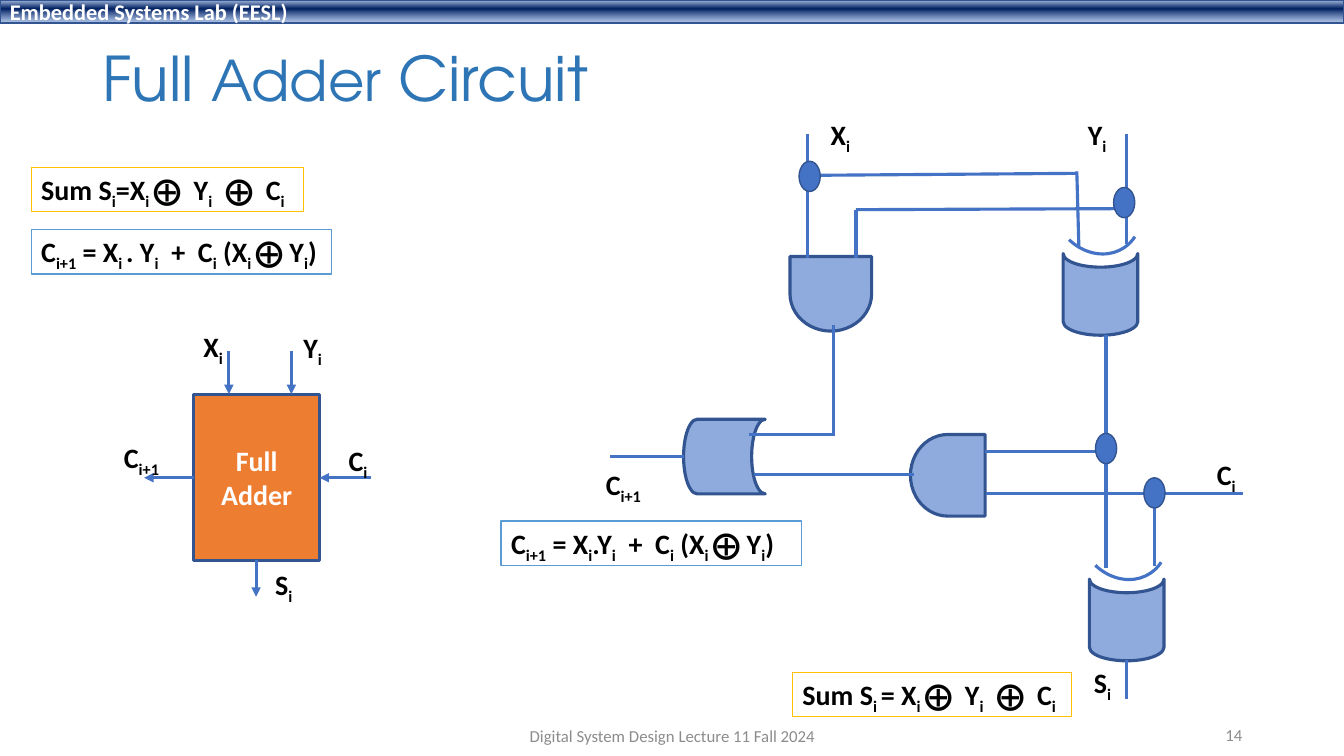
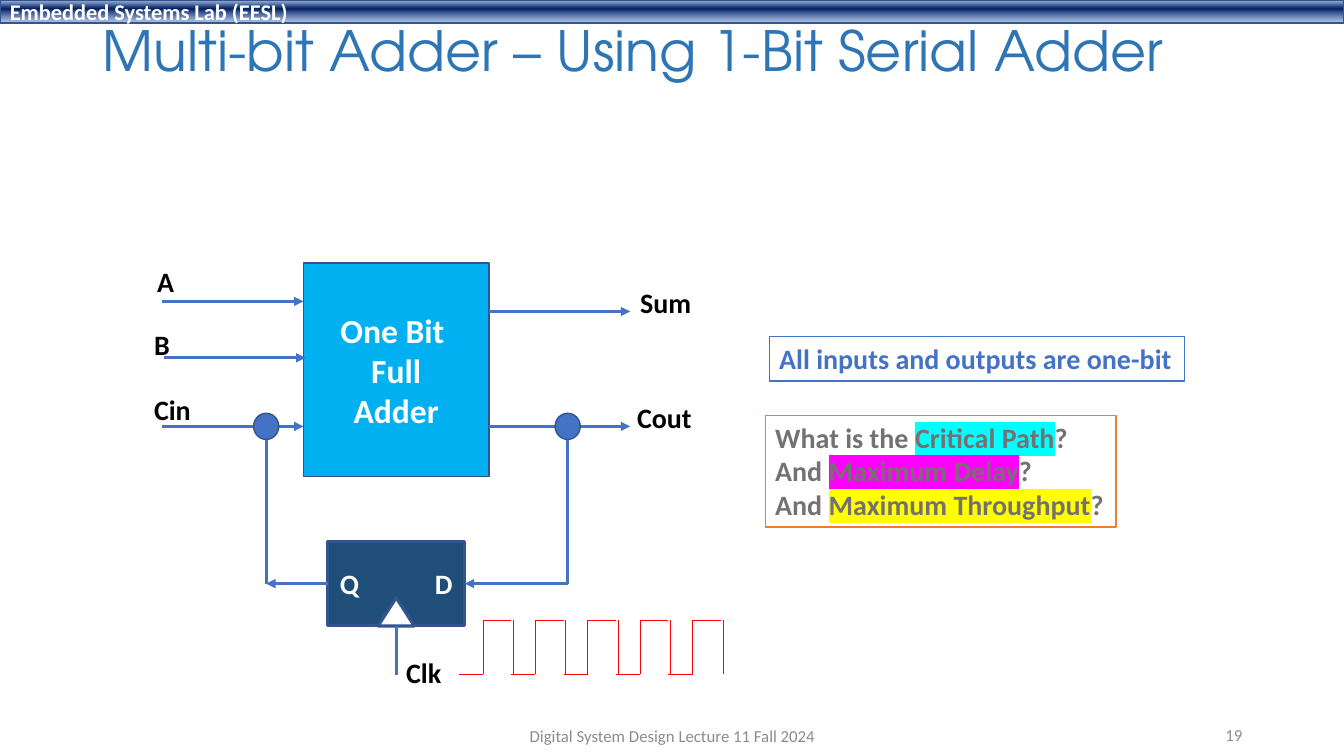
from dataclasses import dataclass

from lxml import etree
from pptx import Presentation
from pptx.dml.color import RGBColor
from pptx.enum.shapes import MSO_CONNECTOR, MSO_SHAPE
from pptx.enum.text import MSO_ANCHOR, MSO_AUTO_SIZE, PP_ALIGN
from pptx.oxml import parse_xml
from pptx.oxml.ns import nsdecls, qn
from pptx.util import Inches, Pt

RECT, OVAL, ARC = MSO_SHAPE.RECTANGLE, MSO_SHAPE.OVAL, MSO_SHAPE.ARC
TRIANGLE = MSO_SHAPE.ISOSCELES_TRIANGLE
AND_SHAPE, OR_SHAPE = MSO_SHAPE.FLOWCHART_DELAY, MSO_SHAPE.FLOWCHART_STORED_DATA
STRAIGHT = MSO_CONNECTOR.STRAIGHT
LEFT, CENTER, RIGHT = PP_ALIGN.LEFT, PP_ALIGN.CENTER, PP_ALIGN.RIGHT
TOP, MIDDLE = MSO_ANCHOR.TOP, MSO_ANCHOR.MIDDLE
FIT_TEXT = MSO_AUTO_SIZE.SHAPE_TO_FIT_TEXT

BODY_FONT, TITLE_FONT = "Calibri", "TeX Gyre Adventor"
BLACK, WHITE, FOOTER_GRAY, QUESTION_GRAY = "000000", "FFFFFF", "8C8C8C", "767171"
WIRE, OUTLINE, GATE = "4472C4", "325491", "8FAADC"
GOLD, SKY, ORANGE = "FFC000", "5B9BD5", "ED7D31"
TITLE_BLUE, ADDER_CYAN, FLIP_FLOP_NAVY, CLOCK_RED = "2E75B6", "00B0F0", "1F4E79", "FF0000"
HIGHLIGHTS = ("00FFFF", "FF00FF", "FFFF00")
BAND_STOPS = ((2, "ABC0E4", 100), (38, "002060", 100), (93, "7E9ED6", 64))
THICK, THIN, HAIRLINE = 2.25, 1, 0.5
LABEL_HEIGHT = 0.44


def rgb(color):
    return RGBColor.from_string(color)


def write(shape, text, size=20, color=BLACK, bold=True, align=LEFT, anchor=TOP,
          font=BODY_FONT):
    """Write lines of text; return the runs set between underscores."""
    frame = shape.text_frame
    frame.vertical_anchor = anchor
    marked = []
    for number, line in enumerate(text.split("\n")):
        paragraph = frame.add_paragraph() if number else frame.paragraphs[0]
        paragraph.alignment = align
        for position, part in enumerate(line.split("_")):
            if not part:
                continue
            run = paragraph.add_run()
            run.text = part
            run.font.size, run.font.bold, run.font.name = Pt(size), bold, font
            run.font.color.rgb = rgb(color)
            if position % 2:
                marked.append(run)
    return marked


def lower(runs):
    """Turn runs into subscripts."""
    for run in runs:
        run._r.get_or_add_rPr().set("baseline", "-25000")


def highlight(run, color):
    mark = parse_xml(f'<a:highlight {nsdecls("a")}><a:srgbClr val="{color}"/></a:highlight>')
    run._r.get_or_add_rPr().find(qn("a:solidFill")).addnext(mark)


@dataclass
class Region:
    """Part of a slide; all places are inches from its top left corner."""
    slide: object
    left: float = 0
    top: float = 0

    def place(self, x, y):
        return Inches(self.left + x), Inches(self.top + y)

    def shape(self, kind, x, y, width, height, fill=None, line=OUTLINE, weight=THIN,
              rotation=0):
        shape = self.slide.shapes.add_shape(
            kind, *self.place(x, y), Inches(width), Inches(height))
        shape.shadow.inherit = False
        shape.rotation = rotation
        if fill:
            shape.fill.solid()
            shape.fill.fore_color.rgb = rgb(fill)
        else:
            shape.fill.background()
        shape.line.color.rgb = rgb(line)
        shape.line.width = Pt(weight)
        return shape

    def wire(self, x1, y1, x2, y2, arrow=False, color=WIRE, weight=THICK):
        wire = self.slide.shapes.add_connector(
            STRAIGHT, *self.place(x1, y1), *self.place(x2, y2))
        wire.line.color.rgb = rgb(color)
        wire.line.width = Pt(weight)
        if arrow:
            etree.SubElement(wire.line._get_or_add_ln(), qn("a:tailEnd"), type="triangle")
        etree.SubElement(wire._element.spPr, qn("a:effectLst"))

    def text_box(self, x, y, width, height):
        box = self.slide.shapes.add_textbox(
            *self.place(x, y), Inches(width), Inches(height))
        box.text_frame.word_wrap = True
        return box

    def label(self, text, x, y, width):
        box = self.text_box(x, y, width, LABEL_HEIGHT)
        fit(box)
        lower(write(box, text))

    def framed(self, text, x, y, width, line, height=LABEL_HEIGHT, color=BLACK):
        box = self.shape(RECT, x, y, width, height, WHITE, line)
        fit(box)
        return write(box, text, color=color)

    def formula(self, text, x, y, width, line):
        lower(self.framed(text, x, y, width, line))

    def junction(self, center_x, center_y, width, height):
        self.shape(OVAL, center_x - width / 2, center_y - height / 2, width, height, WIRE)

    def gate(self, kind, x, y, width, height, rotation=0):
        self.shape(kind, x, y, width, height, GATE, weight=THICK, rotation=rotation)

    def xor_gate(self, x, y):
        self.gate(OR_SHAPE, x, y, 0.81, 0.74, 270)
        arc = self.shape(ARC, x - 0.06, y - 1, 0.85, 0.99, line=WIRE, weight=THICK,
                         rotation=146.4)
        arc.adjustments[0], arc.adjustments[1] = 151.27, 205.69


def fit(shape):
    shape.text_frame.word_wrap = False
    shape.text_frame.auto_size = FIT_TEXT


def add_band(page):
    band = page.shape(RECT, 0, 0, 13.33, 0.23, WHITE)
    stops = "".join(
        f'<a:gs pos="{position * 1000}"><a:srgbClr val="{color}">'
        f'<a:alpha val="{opacity * 1000}"/></a:srgbClr></a:gs>'
        for position, color, opacity in BAND_STOPS)
    gradient = parse_xml(f'<a:gradFill {nsdecls("a")} rotWithShape="1"><a:gsLst>{stops}'
                         '</a:gsLst><a:lin ang="5400000" scaled="0"/></a:gradFill>')
    properties = band._element.spPr
    properties.replace(properties.find(qn("a:solidFill")), gradient)
    write(band, "Embedded Systems Lab (EESL)", 16, WHITE, anchor=MIDDLE)


def add_page(deck, title, title_top, title_height, title_size, number):
    """Add a slide with band, title and footer; return it with its marked title runs."""
    slide = deck.slides.add_slide(deck.slide_layouts[6])
    page = Region(slide)
    add_band(page)
    heading = page.text_box(0.92, title_top, 11.5, title_height)
    marked = write(heading, title, title_size, TITLE_BLUE, False, anchor=MIDDLE,
                   font=TITLE_FONT)
    heading.text_frame.paragraphs[0].line_spacing = 0.9
    write(page.text_box(4.42, 7.1, 4.5, 0.4), "Digital System Design Lecture 11 Fall 2024",
          12, FOOTER_GRAY, False, CENTER, MIDDLE)
    write(page.text_box(9.42, 7.09, 3, 0.4), str(number),
          12, FOOTER_GRAY, False, RIGHT, MIDDLE)
    return slide, marked


def add_gate_circuit(area):
    area.gate(AND_SHAPE, 1.87, 1.51, 0.74, 0.81, 90)
    area.gate(AND_SHAPE, 3.03, 3.31, 0.74, 0.81, 180)
    area.gate(OR_SHAPE, 0.78, 3.16, 0.81, 0.74)
    area.xor_gate(4.51, 1.55)
    area.xor_gate(4.77, 4.78)
    for ends in (
        (2.01, 1.56, 2.01, 0.33), (5.17, 1.42, 5.17, 0.33),  # X and Y inputs
        (2, 0.74, 4.69, 0.72), (4.7, 1.44, 4.68, 0.7),  # X to first XOR
        (2.49, 1.08, 5.17, 1.07), (2.49, 1.56, 2.49, 1.08),  # Y to first AND
        (4.97, 4.64, 4.97, 2.32), (3.77, 3.48, 4.97, 3.48),  # first XOR output
        (3.78, 3.9, 6.33, 3.9), (5.45, 4.62, 5.45, 3.9),  # carry input
        (2.27, 3.31, 2.27, 2.22), (1.43, 3.31, 2.28, 3.31),  # first AND to OR
        (1.48, 3.71, 3.07, 3.71),  # second AND to OR
        (0.78, 3.53, 0.05, 3.53), (5.17, 5.55, 5.17, 5.93),  # carry and sum outputs
    ):
        area.wire(*ends)
    for x, y in ((2.03, 0.75), (5.15, 1.01), (4.97, 3.45), (5.45, 3.89)):
        area.junction(x, y, 0.21, 0.3)
    for text, x, y, width in (
        ("X_i_", 2.14, 0.12, 0.4), ("Y_i_", 4.69, 0.12, 0.39), ("C_i_", 5.97, 3.49, 0.4),
        ("C_i+1_", -0.09, 3.59, 0.58), ("S_i_", 4.75, 5.55, 0.38),
    ):
        area.label(text, x, y, width)
    area.formula("Sum S_i _= X_i _⨁  Y_i_  ⨁  C_i_", 1.86, 5.67, 2.77, GOLD)
    area.formula("C_i+1_ = X_i_.Y_i_  +  C_i_ (X_i _⨁ Y_i_)", -1.03, 4.17, 2.98, SKY)


def add_adder_block(area):
    block = area.shape(RECT, 0.92, 0.91, 1.25, 1.65, ORANGE, weight=THICK)
    write(block, "Full\nAdder", color=WHITE, align=CENTER, anchor=MIDDLE)
    for ends in (
        (1.27, 0.48, 1.27, 0.91), (1.89, 0.48, 1.89, 0.91), (2.68, 1.74, 2.17, 1.74),
        (1.54, 2.56, 1.54, 2.92), (0.92, 1.74, 0.43, 1.74),
    ):
        area.wire(*ends, arrow=True)
    for text, x, y, width in (
        ("X_i_", 0.92, 0.22, 0.4), ("Y_i_", 1.91, 0.23, 0.39), ("C_i_", 2.36, 1.35, 0.4),
        ("S_i_", 1.63, 2.58, 0.38), ("C_i+1_", 0.13, 1.32, 0.58),
    ):
        area.label(text, x, y, width)


def add_equations(area):
    area.formula("Sum S_i_=X_i _⨁  Y_i_  ⨁  C_i_", 0, 0, 2.7, GOLD)
    area.formula("C_i+1_ = X_i _. Y_i_  +  C_i_ (X_i _⨁ Y_i_)", 0, 0.62, 2.98, SKY)


def add_flip_flop(area):
    body = area.shape(RECT, 0, 0, 1.36, 0.84, FLIP_FLOP_NAVY, weight=THICK)
    body.text_frame.margin_left = Inches(0.12)
    properties = body.text_frame.paragraphs[0]._p.get_or_add_pPr()
    tabs = etree.SubElement(properties, qn("a:tabLst"))
    etree.SubElement(tabs, qn("a:tab"), pos=str(Inches(1.12)), algn="r")
    write(body, "Q\tD", color=WHITE, anchor=MIDDLE)
    area.shape(TRIANGLE, 0.5, 0.56, 0.36, 0.28, WHITE, weight=THICK)
    area.wire(0.68, 0.84, 0.68, 1.33)
    area.label("Clk", 0.68, 1.08, 0.55)


def add_serial_adder(area):
    block = area.shape(RECT, 1.61, 0.11, 1.84, 2.12, ADDER_CYAN)
    write(block, "One Bit \nFull\nAdder", 24, WHITE, align=CENTER, anchor=MIDDLE)
    for x, y in ((0.21, 0.49), (0.23, 1.05), (0.21, 1.73), (3.45, 0.59), (3.45, 1.73)):
        area.wire(x, y, x + 1.4, y, arrow=True)
    add_flip_flop(Region(area.slide, area.left + 1.85, area.top + 2.87))
    for x in (1.24, 4.23):
        area.wire(x, 1.73, x, 3.29)
        area.junction(x, 1.73, 0.25, 0.26)
    area.wire(4.23, 3.29, 3.21, 3.29, arrow=True)
    area.wire(1.85, 3.29, 1.24, 3.29, arrow=True)
    for text, x, y, width in (
        ("A", 0.06, 0.08, 0.37), ("B", 0.03, 0.7, 0.36), ("Cin", 0.03, 1.34, 0.57),
        ("Sum", 4.85, 0.28, 0.71), ("Cout", 4.82, 1.42, 0.75),
    ):
        area.label(text, x, y, width)


def add_clock(area, pulses=5, period=0.52, height=0.54):
    for pulse in range(pulses):
        start = pulse * period
        rise, end, fall = start + 0.24, start + period, start + period + 0.02
        for ends in ((start, height, rise, height), (rise, height, rise, 0),
                     (rise, 0, end, 0), (fall, 0, fall, height)):
            area.wire(*ends, color=CLOCK_RED, weight=HAIRLINE)


def add_questions(area):
    area.framed("All inputs and outputs are one-bit", 0.04, 0, 4.12, WIRE, color=WIRE)
    terms = area.framed(
        "What is the _Critical Path_?\nAnd _Maximum Delay_?\nAnd _Maximum Throughput_?",
        0, 0.78, 3.48, ORANGE, 1.11, QUESTION_GRAY)
    for term, color in zip(terms, HIGHLIGHTS):
        highlight(term, color)


def main():
    deck = Presentation()
    deck.slide_width, deck.slide_height = Inches(13.33), Inches(7.5)

    slide, smaller_words = add_page(deck, "Full _Adder_ Circuit", 0.4, 0.81, 44, 14)
    for word in smaller_words:
        word.font.size = Pt(40)
    add_gate_circuit(Region(slide, 6, 1))
    add_equations(Region(slide, 0.31, 1.66))
    add_adder_block(Region(slide, 1, 3))

    slide, _ = add_page(deck, "Multi-bit Adder – Using 1-Bit Serial Adder",
                        0.15, 0.77, 39.6, 19)
    add_serial_adder(Region(slide, 1.4, 2.5))
    add_clock(Region(slide, 4.55, 6.15))
    add_questions(Region(slide, 7.59, 3.34))

    deck.save("out.pptx")


if __name__ == "__main__":
    main()
